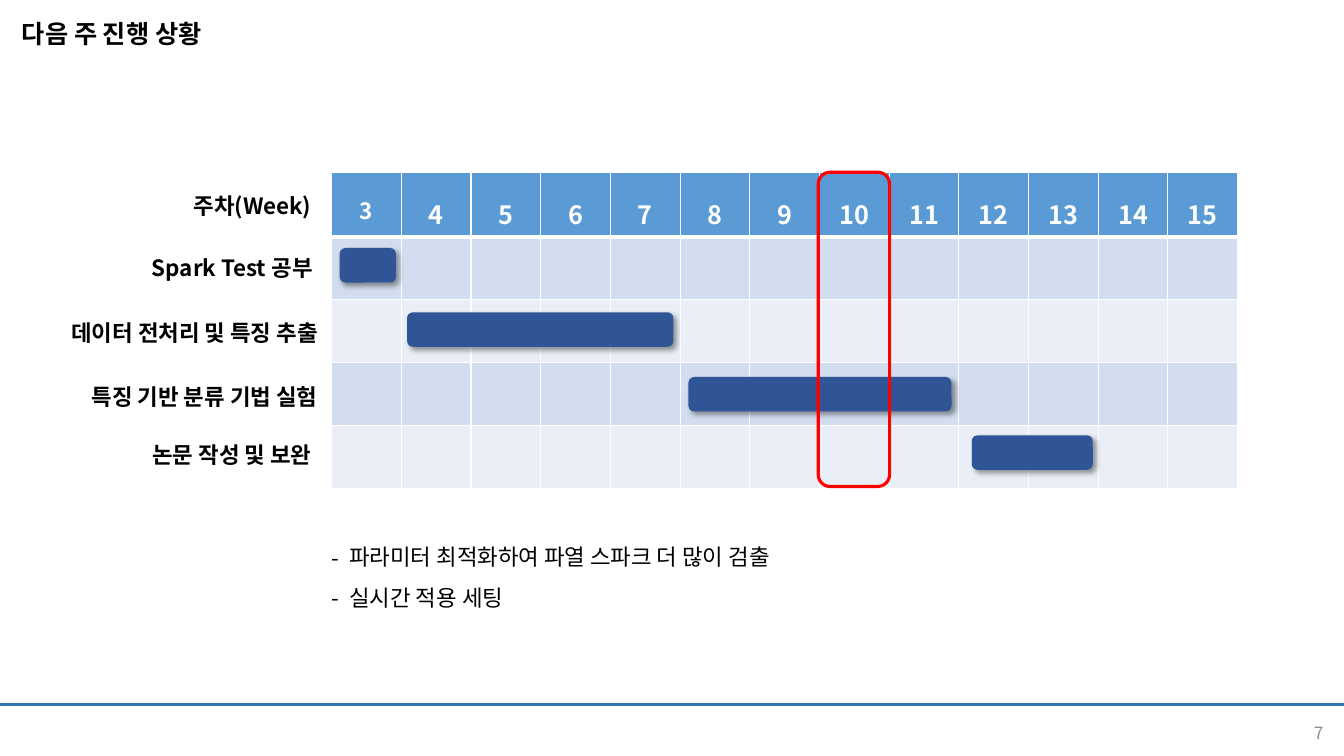
"""Build the weekly schedule slide."""
import dataclasses

import lxml.etree
import pptx
import pptx.dml.color
import pptx.enum.shapes
import pptx.enum.text
import pptx.oxml
import pptx.oxml.ns
import pptx.util

Cm = pptx.util.Cm
Pt = pptx.util.Pt
ALIGN = pptx.enum.text.PP_ALIGN
ANCHOR = pptx.enum.text.MSO_ANCHOR
SHAPE = pptx.enum.shapes.MSO_SHAPE
qn = pptx.oxml.ns.qn


@dataclasses.dataclass(frozen=True)
class Theme:
    """Hold the font, colours and type sizes of the slide."""
    font: str = "Noto Sans CJK KR"
    text: str = "000000"
    white: str = "FFFFFF"
    header: str = "5B9BD5"
    bands: tuple = ("D2DEEF", "EAEFF7")
    bar: str = "2F5597"
    highlight: str = "FF0000"
    rule: str = "2E75B6"
    number: str = "8C8C8C"
    title_size: int = 18
    body_size: int = 16
    number_size: int = 12


THEME = Theme()
WEEKS = range(3, 16)
TABLE = (8.36, 4.34, 22.83, 7.92)
HIGHLIGHT = (20.62, 4.34, 1.8, 7.92)
BAR_HEIGHT = 0.87
LABEL_HEIGHT = 0.94
LABELS = [
    ("주차(Week)", 3.66, 4.72, 4.44),
    ("Spark Test 공부", 0, 6.27, 8.13),
    ("데이터 전처리 및 특징 추출", 0, 7.92, 8.26),
    ("특징 기반 분류 기법 실험", 1.09, 9.53, 7.16),
    ("논문 작성 및 보완", 2.44, 11, 5.66),
]
BARS = [
    (8.56, 6.25, 1.42),
    (10.26, 7.87, 6.71),
    (17.35, 9.5, 6.63),
    (24.49, 10.97, 3.05),
]
PLANS = ["파라미터 최적화하여 파열 스파크 더 많이 검출", "실시간 적용 세팅"]


def apply(target, values):
    """Set every attribute named in a dict of format values."""
    for name, value in values.items():
        setattr(target, name, value)


def color(code):
    """Turn a hex code into a colour."""
    return pptx.dml.color.RGBColor.from_string(code)


def place(box, area):
    """Move and size a box to an area in centimetres."""
    apply(box, dict(zip(("left", "top", "width", "height"), map(Cm, area))))


def write(para, text, size, code=THEME.text, bold=False, **layout):
    """Write one formatted span into a paragraph."""
    apply(para, layout)
    span = para.add_run()
    span.text = text
    apply(span.font, {"name": THEME.font, "size": Pt(size), "bold": bold})
    span.font.color.rgb = color(code)
    east = lxml.etree.SubElement(span.font._element, qn("a:ea"))
    east.set("typeface", THEME.font)


def set_frame(box, anchor=ANCHOR.TOP):
    """Give a text frame its wrapping and anchor."""
    apply(box.text_frame, {
        "word_wrap": True,
        "auto_size": pptx.enum.text.MSO_AUTO_SIZE.NONE,
        "vertical_anchor": anchor,
    })
    return box.text_frame


def add_text(page, area, text, size, code=THEME.text, bold=False, anchor=ANCHOR.TOP):
    """Add a right-aligned text box."""
    box = page.shapes.add_textbox(*map(Cm, area))
    para = set_frame(box, anchor).paragraphs[0]
    write(para, text, size, code, bold, alignment=ALIGN.RIGHT)


def fill_title(page, text):
    """Place and fill the title placeholder."""
    box = page.shapes.title
    place(box, (0.3, 0.33, 10.77, 1.02))
    write(set_frame(box).paragraphs[0], text, THEME.title_size, bold=True,
          alignment=ALIGN.LEFT)


def fill_list(page, items):
    """Place the body placeholder and fill it with dashed items."""
    box = page.placeholders[1]
    place(box, (8.1, 13.23, 20.29, 2.18))
    frame = set_frame(box)
    for index, item in enumerate(items):
        para = frame.add_paragraph() if index else frame.paragraphs[0]
        write(para, item, THEME.body_size, alignment=ALIGN.LEFT,
              line_spacing=1.5, space_before=Pt(0))
        properties = para._p.get_or_add_pPr()
        properties.set("marL", str(Cm(0.45)))
        properties.set("indent", str(Cm(-0.45)))
        font = lxml.etree.SubElement(properties, qn("a:buFont"))
        font.set("typeface", THEME.font)
        bullet = lxml.etree.SubElement(properties, qn("a:buChar"))
        bullet.set("char", "-")


def set_borders(cell, widths):
    """Draw white borders from a dict of sides and point widths."""
    properties = cell._tc.get_or_add_tcPr()
    for index, (side, width) in enumerate(widths.items()):
        border = pptx.oxml.parse_xml(
            f'<a:ln{side} {pptx.oxml.ns.nsdecls("a")} w="{Pt(width)}"><a:solidFill>'
            f'<a:srgbClr val="{THEME.white}"/></a:solidFill></a:ln{side}>')
        properties.insert(index, border)


def add_schedule(page):
    """Add the banded week table."""
    rows = len(LABELS)
    table = page.shapes.add_table(rows, len(WEEKS), *map(Cm, TABLE)).table
    for column in table.columns:
        column.width = Cm(TABLE[2] / len(WEEKS))
    for index in range(rows):
        table.rows[index].height = Cm(TABLE[3] / rows)
        for cell, week in zip(table.rows[index].cells, WEEKS):
            cell.fill.solid()
            cell.fill.fore_color.rgb = color(
                THEME.bands[(index - 1) % 2] if index else THEME.header)
            set_borders(cell, {"L": 1, "R": 1, "T": 3 if index == 1 else 1,
                               "B": 1 if index else 3})
            if index == 0:
                size = THEME.body_size if week == WEEKS[0] else THEME.title_size
                write(cell.text_frame.paragraphs[0], str(week), size, THEME.white,
                      True, alignment=ALIGN.CENTER, line_spacing=1.5)


def add_bar(page, left, top, width):
    """Add a shadowed task bar."""
    area = map(Cm, (left, top, width, BAR_HEIGHT))
    bar = page.shapes.add_shape(SHAPE.ROUNDED_RECTANGLE, *area)
    bar.fill.solid()
    bar.fill.fore_color.rgb = color(THEME.bar)
    bar.line.fill.background()
    bar.shadow.inherit = False
    effects = bar._element.spPr.find(qn("a:effectLst"))
    effects.append(pptx.oxml.parse_xml(
        f'<a:outerShdw {pptx.oxml.ns.nsdecls("a")} blurRad="{Pt(4)}" dist="{Pt(3)}" '
        f'dir="2700000" algn="tl" rotWithShape="0"><a:srgbClr val="{THEME.text}">'
        '<a:alpha val="40000"/></a:srgbClr></a:outerShdw>'))


def add_highlight(page):
    """Outline the current week."""
    frame = page.shapes.add_shape(SHAPE.ROUNDED_RECTANGLE, *map(Cm, HIGHLIGHT))
    frame.fill.background()
    frame.line.color.rgb = color(THEME.highlight)
    frame.line.width = Pt(2.25)
    frame.shadow.inherit = False


def add_rule(page, width):
    """Add the footer rule across the page."""
    rule = page.shapes.add_connector(
        pptx.enum.shapes.MSO_CONNECTOR.STRAIGHT, 0, Cm(17.75), width, Cm(17.75))
    rule.line.color.rgb = color(THEME.rule)
    rule.line.width = Pt(2.25)
    lxml.etree.SubElement(rule._element.spPr, qn("a:effectLst"))


def main():
    """Build and save the deck."""
    deck = pptx.Presentation()
    apply(deck, {"slide_width": Cm(33.87), "slide_height": Cm(19.05)})
    page = deck.slides.add_slide(deck.slide_layouts[1])
    fill_title(page, "다음 주 진행 상황")
    fill_list(page, PLANS)
    add_rule(page, deck.slide_width)
    add_text(page, (32.46, 17.96, 1.14, 1.02), "7", THEME.number_size,
             THEME.number, anchor=ANCHOR.MIDDLE)
    add_schedule(page)
    for text, left, top, width in LABELS:
        add_text(page, (left, top, width, LABEL_HEIGHT), text, THEME.body_size, bold=True)
    for bar in BARS:
        add_bar(page, *bar)
    add_highlight(page)
    deck.save("out.pptx")


if __name__ == "__main__":
    main()
